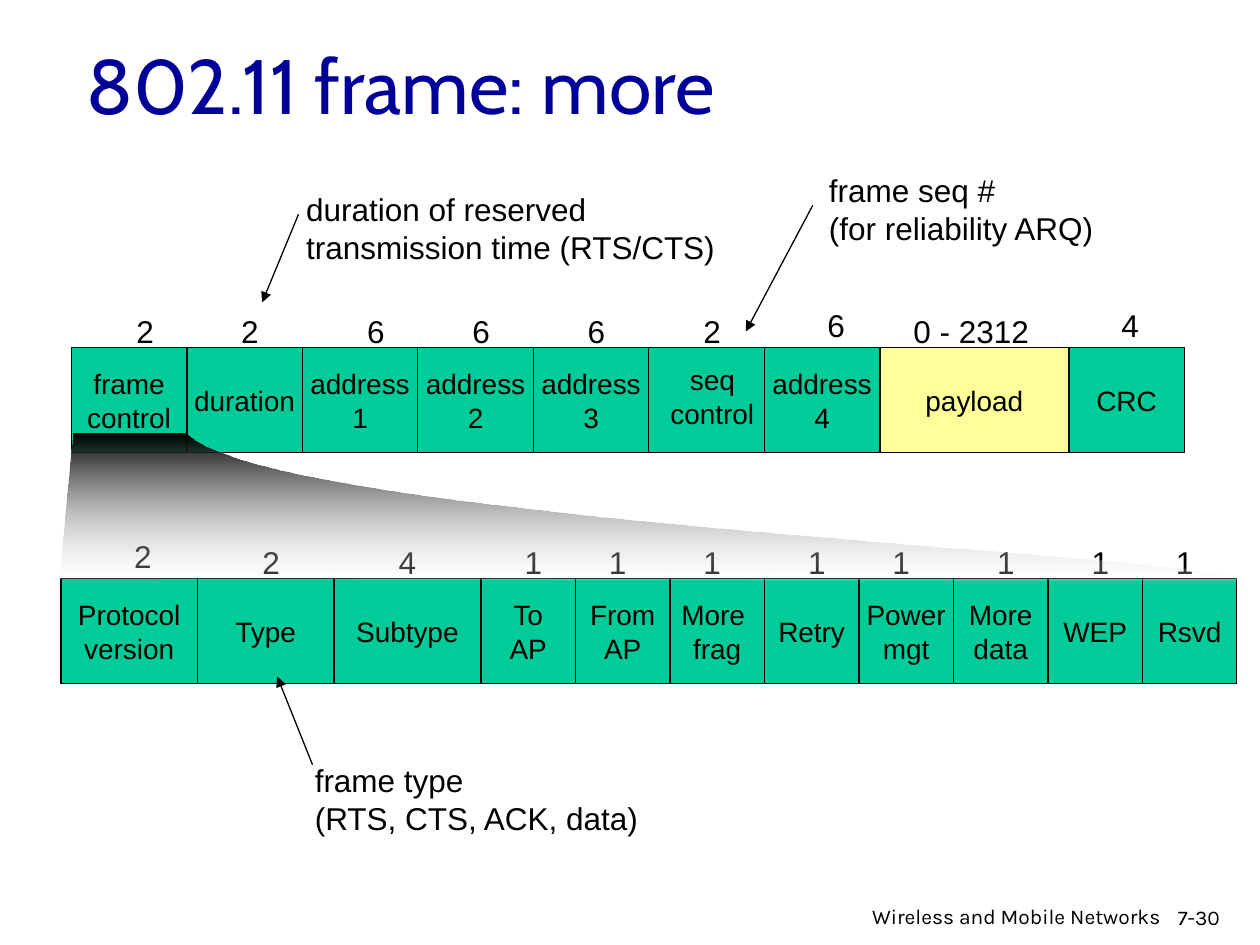
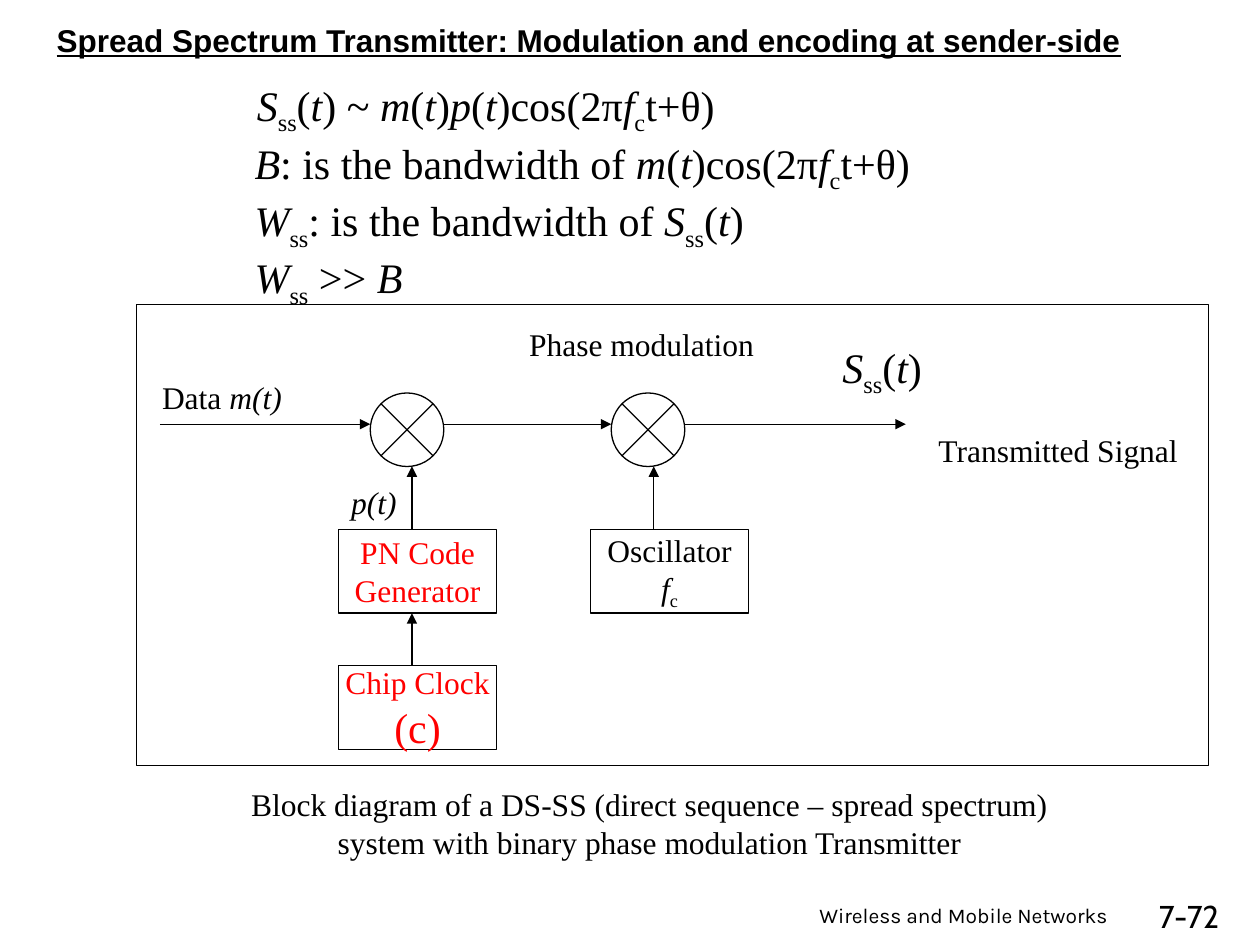
from itertools import accumulate

from lxml import etree
from pptx import Presentation
from pptx.dml.color import RGBColor
from pptx.enum.shapes import MSO_CONNECTOR, MSO_SHAPE
from pptx.enum.text import MSO_ANCHOR, MSO_AUTO_SIZE, PP_ALIGN
from pptx.oxml.ns import qn
from pptx.util import Pt

LEFT, MID, RIGHT = PP_ALIGN.LEFT, PP_ALIGN.CENTER, PP_ALIGN.RIGHT
TOP, CENTER = MSO_ANCHOR.TOP, MSO_ANCHOR.MIDDLE
FIXED = MSO_AUTO_SIZE.NONE
RECT, OVAL = MSO_SHAPE.RECTANGLE, MSO_SHAPE.OVAL
STRAIGHT = MSO_CONNECTOR.STRAIGHT

BLACK, WHITE, RED = "000000", "FFFFFF", "FF0000"
NAVY, GREEN, YELLOW = "000099", "00CC99", "FFFF99"
SANS, SERIF, HEAD, FOOT = "Arial", "Times New Roman", "Cabin", "Karla"


def rgb(code):
    return RGBColor.from_string(code)


def write(frame, text, font=SANS, size=18, color=BLACK, align=LEFT,
          anchor=TOP, wrap=False, bold=False, under=False):
    """One paragraph a line; *...* is italic and _..._ is subscript."""
    frame.auto_size, frame.word_wrap = FIXED, wrap
    frame.vertical_anchor = anchor
    for row, line in enumerate(text.split("\n")):
        para = frame.add_paragraph() if row else frame.paragraphs[0]
        para.alignment = align
        for i, part in enumerate(line.split("*")):
            for j, bit in enumerate(part.split("_")):
                if not bit:
                    continue
                run = para.add_run()
                run.text = bit
                face = run.font
                face.name, face.size = font, Pt(size)
                face.color.rgb = rgb(color)
                face.bold, face.underline = bold, under
                face.italic = i % 2 == 1
                if j % 2:
                    run._r.get_or_add_rPr().set("baseline", "-25000")
    return frame


class Deck:
    def __init__(self):
        self.show = Presentation()
        self.show.slide_width, self.show.slide_height = Pt(720), Pt(540)
        self.slide = None

    def start(self, title, place, **style):
        self.slide = self.show.slides.add_slide(self.show.slide_layouts[5])
        head = self.slide.shapes.title
        head.left, head.top, head.width, head.height = map(Pt, place)
        write(head.text_frame, title, **style)

    def footer(self, left, top):
        self.text("Wireless and Mobile Networks ", left, top, 212.4, 20,
                  font=FOOT, size=12, align=RIGHT, wrap=True)

    def text(self, text, x, y, w, h, **style):
        box = self.slide.shapes.add_textbox(Pt(x), Pt(y), Pt(w), Pt(h))
        return write(box.text_frame, text, **style)

    def shape(self, kind, x, y, w, h, fill=WHITE, text="", **style):
        item = self.slide.shapes.add_shape(kind, Pt(x), Pt(y), Pt(w), Pt(h))
        item.shadow.inherit = False
        if fill:
            item.fill.solid()
            item.fill.fore_color.rgb = rgb(fill)
        else:
            item.fill.background()
        item.line.color.rgb = rgb(BLACK)
        item.line.width = Pt(0.75)
        return write(item.text_frame, text, align=MID, anchor=CENTER, **style)

    def line(self, x1, y1, x2, y2, arrow=True):
        item = self.slide.shapes.add_connector(
            STRAIGHT, Pt(x1), Pt(y1), Pt(x2), Pt(y2))
        item.line.color.rgb = rgb(BLACK)
        item.line.width = Pt(0.75)
        props = item._element.spPr
        if arrow:
            etree.SubElement(props.find(qn("a:ln")), qn("a:tailEnd"),
                             type="triangle")
        etree.SubElement(props, qn("a:effectLst"))

    def fade(self, points):
        """Outline filled from black down to nearly clear white."""
        first, *rest = [(Pt(x), Pt(y)) for x, y in points]
        pen = self.slide.shapes.build_freeform(*first, scale=1.0)
        pen.add_line_segments(rest, close=True)
        item = pen.convert_to_shape()
        item.shadow.inherit = False
        item.line.fill.background()
        item.fill.gradient()
        item.fill.gradient_angle = 270
        for stop, color, place in zip(item.fill.gradient_stops,
                                      (BLACK, WHITE), (0, 1)):
            stop.color.rgb = rgb(color)
            stop.position = place
        tint = item._element.spPr.findall(".//" + qn("a:srgbClr"))[-1]
        etree.SubElement(tint, qn("a:alpha"), val="18000")

    def fields(self, left, top, cells):
        """A row of frame fields, each (label, width, fill)."""
        edges = accumulate((c[1] for c in cells), initial=left)
        for x, (label, width, fill) in zip(edges, cells):
            self.shape(RECT, x, top, width, 60, fill, label, size=16)

    def sizes(self, marks):
        """Byte or bit counts above a row, each (text, x, y)."""
        for mark, x, y in marks:
            self.text(mark, x, y, 80.6 if len(mark) > 1 else 24.5, 28.8)

    def mixer(self, x, y):
        self.shape(OVAL, x, y, 42, 42)
        near, far = 6, 36
        self.line(x + far, y + near, x + near, y + far, arrow=False)
        self.line(x + far, y + far, x + near, y + near, arrow=False)


def curve(a, b, c, d, steps=40):
    """Points on a cubic curve, after its start."""
    for k in range(1, steps + 1):
        t = k / steps
        u = 1 - t
        yield tuple(u**3 * p + 3 * u * u * t * q + 3 * u * t * t * r + t**3 * s
                    for p, q, r, s in zip(a, b, c, d))


def frame_slide(deck):
    deck.start("802.11 frame: more", (42, 18, 612, 90),
               font=HEAD, size=44, color=NAVY, wrap=True)

    # Frame fields with byte counts
    names = ("frame\ncontrol", "duration", "address\n1", "address\n2",
             "address\n3", "", "address\n4")
    deck.fields(40.8, 198.6, [(n, 66, GREEN) for n in names]
                + [("payload", 108, YELLOW), ("CRC", 66, GREEN)])
    deck.text("seq\ncontrol", 375.8, 203.8, 62.6, 46, size=16, align=MID)
    low, high = 174.8, 171.6
    deck.sizes([("2", 70.8, low), ("2", 130.8, low), ("6", 202.8, low),
                ("6", 262.8, low), ("6", 328.8, low), ("2", 394.8, low),
                ("6", 465.8, high), ("0 - 2312", 514.8, low),
                ("4", 633.8, high)])

    # Control bits
    bits = [("Protocol\nversion", 78), ("Type", 78), ("Subtype", 84)]
    bits += [(n, 54) for n in ("To\nAP", "From\nAP", "More \nfrag", "Retry",
                               "Power\nmgt", "More\ndata", "WEP", "Rsvd")]
    deck.fields(34.8, 330.6, [(n, w, GREEN) for n, w in bits])
    spots = (142.8, 220.8, 292.8, 340.8, 394.8, 454.8, 502.8, 562.8,
             616.8, 664.8)
    deck.sizes([("2", 69.6, 303.6)]
               + [(m, x, 306.8) for m, x in zip("2411111111", spots)])

    # Fan from the control field to its bits
    tip, neck = (707.8, 331.9), (106.6, 247.7)
    deck.fade([(41.8, 247.7), (33.8, 330.5), tip,
               *curve(tip, (720, 317.5), (155.5, 298.8), neck)])

    # Callouts
    deck.text("duration of reserved\ntransmission time (RTS/CTS)",
              167.8, 105.2, 250.6, 51)
    deck.line(170.6, 122.4, 149.8, 172.8)
    deck.text("frame seq #\n(for reliability ARQ)", 466.6, 94.4, 167, 51)
    deck.line(464.4, 117.4, 426.2, 189.4)
    deck.line(178.6, 437, 158.4, 386.6)
    deck.text("frame type\n(RTS, CTS, ACK, data)", 172.8, 431.4, 203, 50.4)

    # Footer
    deck.text("7-30", 666, 513.4, 54, 21.6, font=FOOT, size=12, wrap=True)
    deck.footer(460.8, 512.6)


def spread_slide(deck):
    deck.start("Spread Spectrum Transmitter: Modulation and encoding at "
               "sender-side", (25.2, 8.6, 628.6, 28.8), bold=True, under=True)

    # Formulas
    big = {"font": SERIF, "size": 24}
    signal, wave = "*S*_ss_(*t*)", "cos(2π*f*_c_t+θ)"
    deck.text(f"{signal} ~ *m*(*t*)*p*(*t*){wave}",
              139.7, 41.8, 280.8, 36, **big)
    deck.text(f"*B*: is the bandwidth of *m*(*t*){wave}\n"
              f"*W*_ss_: is the bandwidth of {signal}\n"
              "*W*_ss_ >> *B*", 138.4, 74.9, 391.7, 93.6, **big)

    # Mixers and blocks
    for x in (211.6, 349.3):
        deck.mixer(x, 224.6)
    clock = deck.shape(RECT, 193.6, 380.2, 90, 48, text="Chip Clock\n(c)",
                       font=SERIF, color=RED)
    clock.paragraphs[1].runs[0].font.size = Pt(24)
    deck.shape(RECT, 193.6, 302.4, 90, 48, text="PN Code\nGenerator",
               font=SERIF, color=RED)
    deck.shape(RECT, 337.6, 302.4, 90, 48, text="Oscillator\n*f*_c_",
               font=SERIF)

    # Signal flow
    for x1, x2 in ((91.4, 211.6), (253.6, 349.3), (391.5, 517.6)):
        deck.line(x1, 242.4, x2, 242.4)
    for x, y1, y2 in ((235.4, 380.2, 350.5), (235.4, 302.4, 266.5),
                      (373.6, 302.4, 266.5)):
        deck.line(x, y1, x, y2)

    # Labels
    deck.text(signal, 474.3, 191.6, 62, 36, **big)
    for label, x, y, w in (("Transmitted Signal", 529.2, 242.8, 152),
                           ("Data *m(t)*", 85.5, 212.6, 82.8),
                           ("Phase modulation", 295.3, 182.4, 143.3),
                           ("*p(t)*", 193.6, 272.4, 51)):
        deck.text(label, x, y, w, 28.8, font=SERIF)
    deck.shape(RECT, 78, 174.2, 612.7, 263.4, fill=None)
    deck.text("Block diagram of a DS-SS (direct sequence – spread spectrum) "
              "system with binary phase modulation Transmitter",
              131.8, 445, 478.8, 51, font=SERIF, align=MID, wrap=True)

    # Footer
    deck.text("7-72", 655.2, 509, 53.3, 21.6, font=HEAD, wrap=True)
    deck.footer(430.6, 512)


def main():
    deck = Deck()
    frame_slide(deck)
    spread_slide(deck)
    deck.show.save("out.pptx")


if __name__ == "__main__":
    main()
